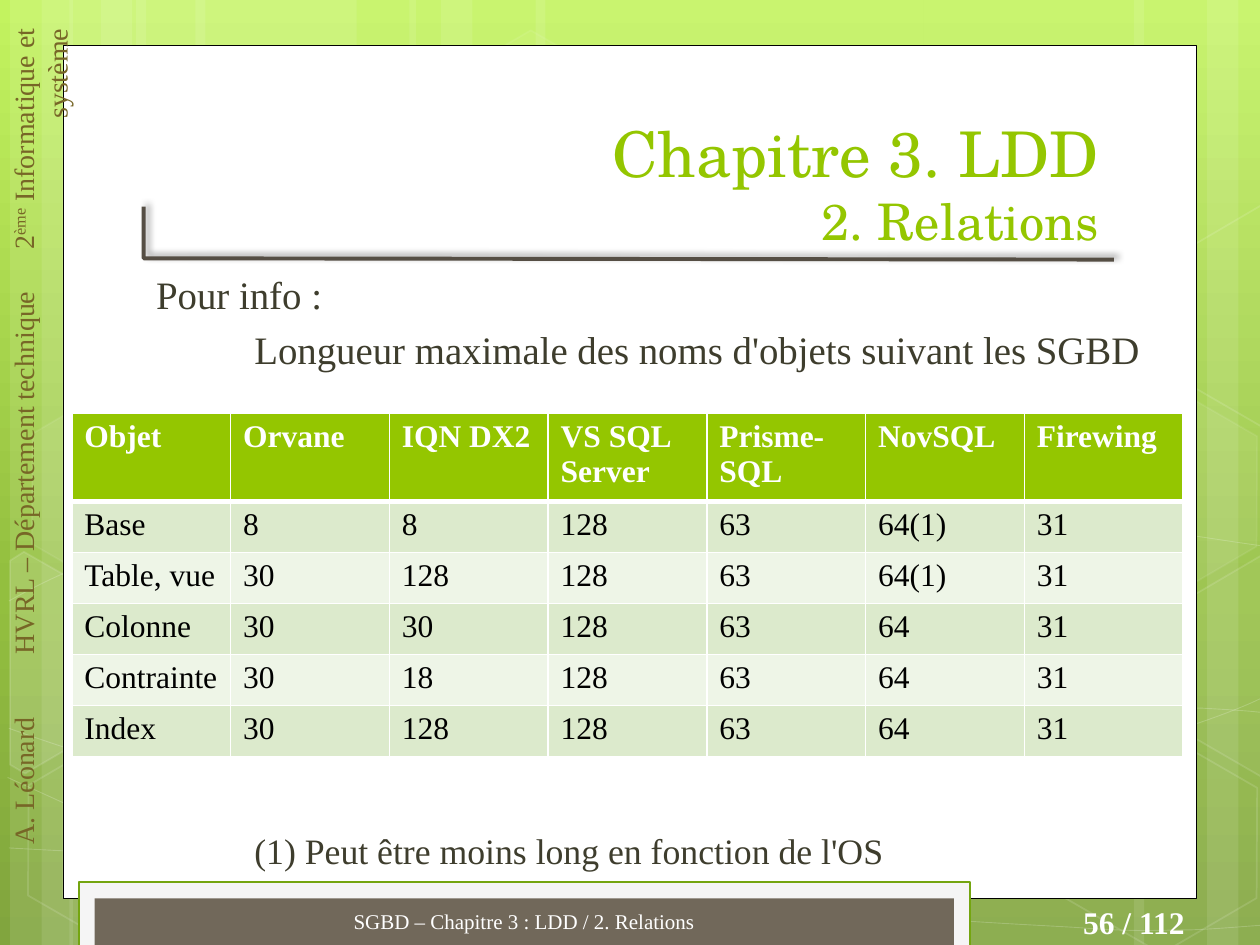
import copy
from dataclasses import dataclass
from typing import NamedTuple, Optional

import lxml.etree
import pptx
import pptx.dml.color
import pptx.enum.shapes
import pptx.enum.text
import pptx.oxml.ns
import pptx.util

COLUMNS, ROWS = 10, 7.5
CELL = pptx.util.Inches(1)
SERIF, TITLE_FONT = "Times New Roman", "TeX Gyre Schola"
WHITE, GREEN, DARK, OLIVE = "FFFFFF", "94C600", "3E3D2D", "776627"
ALIGN = pptx.enum.text.PP_ALIGN
ANCHOR = pptx.enum.text.MSO_ANCHOR
PRESET = pptx.enum.shapes.MSO_SHAPE
qn = pptx.oxml.ns.qn


class Box(NamedTuple):
    """Place on the grid, in columns and rows."""
    left: float
    top: float
    width: float
    height: float


@dataclass(frozen=True)
class Paint:
    """Fill and outline, with opacity in percent."""
    fill: Optional[str] = None
    fill_alpha: int = 100
    line: Optional[str] = None
    line_width: float = 1
    line_alpha: int = 100


class Hexagon(NamedTuple):
    """Tilted background hexagon."""
    left: float
    top: float
    fill_alpha: int
    line_alpha: int


class Outline(NamedTuple):
    """Cut hexagon at the slide's edge."""
    points: list
    fill_alpha: int


class Piece(NamedTuple):
    """Part of the side label, with raising in percent and tracking in points."""
    text: str
    baseline: int = 0
    tracking: float = 0


BANDS = [(1.08, 1.75), (0.08, 0.5), (0.33, 0.83), (1.55, 1.75), (0.55, 0.5), (0.8, 0.83),
         (7.33, 1.75), (9.58, 0.5), (9, 0.83), (4.25, 3.08), (3.25, 0.5), (3.5, 0.83)]
CURVES = [
    [(0.07, 6.73), (0.61, 6.76), (1.15, 6.79), (1.9, 6.78), (2.65, 6.77), (3.58, 6.75), (4.58, 6.65),
     (5.58, 6.55), (7, 6.36), (7.92, 6.17), (8.83, 5.98), (9.77, 5.68), (10.07, 5.51)],
    [(0.07, 4.77), (0.36, 4.61), (0.65, 4.46), (1.21, 4.31), (1.78, 4.16), (2.59, 3.94), (3.47, 3.87),
     (4.36, 3.8), (5.44, 3.79), (6.54, 3.87), (7.64, 3.95), (9.47, 4.26), (10.07, 4.34)],
    [(0.06, 6.17), (1.27, 6.72), (2.47, 7.27), (3.34, 7.49)],
    [(0.07, 5.78), (0.38, 5.89), (0.7, 6), (1.28, 6.16), (1.86, 6.31), (2.73, 6.56), (3.57, 6.73),
     (4.4, 6.9), (5.45, 7.08), (6.28, 7.18), (7.11, 7.29), (8, 7.33), (8.53, 7.36),
     (9.05, 7.4), (9.19, 7.38), (9.45, 7.38), (9.71, 7.37), (9.89, 7.35), (10.07, 7.34)],
    [(2.42, 7.49), (2.6, 7.29), (2.78, 7.09), (3.02, 6.91), (3.26, 6.73), (3.6, 6.53), (3.88, 6.39),
     (4.16, 6.25), (4.33, 6.19), (4.7, 6.09), (5.06, 5.99), (5.73, 5.85), (6.08, 5.78),
     (6.44, 5.71), (6.49, 5.71), (6.8, 5.69), (7.11, 5.66), (7.6, 5.63), (7.94, 5.62),
     (8.29, 5.61), (8.86, 5.62), (8.86, 5.62), (8.86, 5.62), (9.53, 5.62), (9.53, 5.62),
     (9.71, 5.63), (9.88, 5.64), (9.97, 5.65), (10.06, 5.66), (10.03, 5.65), (10.06, 5.66)],
]
HEXAGONS = [Hexagon(3.34, 0.36, 4, 8), Hexagon(4.97, 5.89, 6, 12), Hexagon(0.11, 5.91, 0, 12),
            Hexagon(0.14, 3.12, 7, 8), Hexagon(1.74, 5.92, 0, 12), Hexagon(7.53, 4.53, 10, 12),
            Hexagon(8.34, 5.93, 0, 12), Hexagon(8.34, 3.14, 7, 8)]
OUTLINES = [
    Outline([(0.08, 4.45), (0.19, 4.38), (0.96, 4.82), (0.95, 5.7), (0.2, 6.14), (0.08, 6.07)], 10),
    Outline([(9.26, 4.85), (10.01, 4.41), (10.09, 4.46), (10.09, 6.13), (10.02, 6.17), (9.26, 5.73)], 4),
    Outline([(9.26, 2.07), (10.01, 1.63), (10.1, 1.68), (10.09, 3.35), (10.02, 3.39), (9.26, 2.95)], 0),
]
PANELS = [(Box(0.5, 0.36, 9, 6.77), Paint(WHITE, line="000000", line_width=0.5)),
          (Box(0.63, 7, 7.07, 0.51), Paint("F5F5F5", line="74A510", line_width=1.25)),
          (Box(0.75, 7.13, 6.82, 0.38), Paint("71685A"))]
SIDE_LABEL = [Piece("A. Léonard"), Piece(" ", tracking=32), Piece("HVRL – Département technique"),
              Piece(" ", tracking=20), Piece("2"), Piece("ème", baseline=30), Piece(" Informatique et système")]
NAME_LENGTHS = [
    ["Objet", "Orvane", "IQN DX2", "VS SQL Server", "Prisme-SQL", "NovSQL", "Firewing"],
    ["Base", "8", "8", "128", "63", "64(1)", "31"],
    ["Table, vue", "30", "128", "128", "63", "64(1)", "31"],
    ["Colonne", "30", "30", "128", "63", "64", "31"],
    ["Contrainte", "30", "18", "128", "63", "64", "31"],
    ["Index", "30", "128", "128", "63", "64", "31"],
]


def grid(length: float) -> int:
    """Turn grid cells into slide units."""
    return round(length * CELL)


def color(value: str):
    """Turn a hex string into a colour."""
    return pptx.dml.color.RGBColor.from_string(value)


def fade(parent, percent: int) -> None:
    """Set the opacity of the colours below an element."""
    for element in parent.iter(qn("a:srgbClr")):
        lxml.etree.SubElement(element, qn("a:alpha"), val=str(percent * 1000))


def apply_paint(shape, paint: Paint) -> None:
    """Give a shape its fill and outline."""
    shape.shadow.inherit = False
    properties = shape.element.spPr
    if paint.fill and paint.fill_alpha:
        shape.fill.solid()
        shape.fill.fore_color.rgb = color(paint.fill)
        fade(properties.find(qn("a:solidFill")), paint.fill_alpha)
    else:
        shape.fill.background()
    if paint.line:
        shape.line.color.rgb = color(paint.line)
        shape.line.width = pptx.util.Pt(paint.line_width)
        fade(properties.find(qn("a:ln")), paint.line_alpha)
    else:
        shape.line.fill.background()


def draw_preset(slide, preset, box: Box, paint: Paint):
    """Draw a painted preset shape."""
    shape = slide.shapes.add_shape(preset, *map(grid, box))
    apply_paint(shape, paint)
    return shape


def draw_path(slide, points: list, paint: Paint, close: bool = False):
    """Draw a painted freeform through points."""
    start, *rest = [(grid(x), grid(y)) for x, y in points]
    builder = slide.shapes.build_freeform(*start)
    builder.add_line_segments(rest, close=close)
    shape = builder.convert_to_shape()
    apply_paint(shape, paint)
    return shape


def bend(shape) -> None:
    """Turn each three line segments of a freeform into one cubic curve."""
    segments = list(shape.element.iter(qn("a:lnTo")))
    outline = segments[0].getparent()
    for index in range(0, len(segments), 3):
        curve = lxml.etree.SubElement(outline, qn("a:cubicBezTo"))
        for segment in segments[index:index + 3]:
            curve.append(segment[0])
            outline.remove(segment)


def write(paragraph, text: str, *, size: float, ink: str, font: str = SERIF, bold: bool = False, align=ALIGN.LEFT,
          before: float = 0, indent: float = 0, baseline: int = 0, tracking: float = 0) -> None:
    """Add formatted text to a paragraph."""
    paragraph.alignment = align
    paragraph.space_before = pptx.util.Pt(before)
    if indent:
        paragraph._p.get_or_add_pPr().set("marL", str(grid(indent)))
    run = paragraph.add_run()
    run.text = text
    run.font.name, run.font.size, run.font.bold = font, pptx.util.Pt(size), bold
    run.font.color.rgb = color(ink)
    for name, value in (("baseline", baseline * 1000), ("spc", tracking * 100)):
        if value:
            run._r.get_or_add_rPr().set(name, str(value))


def add_frame(slide, box: Box, anchor=ANCHOR.TOP):
    """Add a wrapping text box and return its frame."""
    frame = slide.shapes.add_textbox(*map(grid, box)).text_frame
    frame.word_wrap = True
    frame.vertical_anchor = anchor
    return frame


def add_border(cell, side: str, width: float) -> None:
    """Give one side of a cell a white border."""
    line = lxml.etree.Element(qn(f"a:{side}"), w=str(pptx.util.Pt(width)))
    fill = lxml.etree.SubElement(line, qn("a:solidFill"))
    lxml.etree.SubElement(fill, qn("a:srgbClr"), val=WHITE)
    cell._tc.get_or_add_tcPr().append(line)


def draw_table(slide, box: Box, rows: list) -> None:
    """Draw the table of name lengths."""
    table = slide.shapes.add_table(len(rows), len(rows[0]), *map(grid, box)).table
    for index, values in enumerate(rows):
        header = index == 0
        for cell, value in zip(table.rows[index].cells, values):
            for side in ("lnL", "lnR", "lnT", "lnB"):
                thick = (header and side == "lnB") or (index == 1 and side == "lnT")
                add_border(cell, side, 3 if thick else 1)
            cell.fill.solid()
            cell.fill.fore_color.rgb = color(GREEN if header else "DCEACC" if index % 2 else "EEF5E7")
            write(cell.text_frame.paragraphs[0], value, size=18, ink=WHITE if header else "000000", bold=header)


def draw_background(slide) -> None:
    """Draw the gradient, bands, curves and hexagons."""
    fill = slide.background.fill
    fill.gradient()
    fill.gradient_angle = 270
    stops = next(slide.element.iter(qn("a:gsLst")))
    stops.insert(1, copy.deepcopy(stops[0]))
    for stop, (position, value) in zip(fill.gradient_stops, [(0, "C3F35F"), (0.62, "93BF3F"), (1, "81A53E")]):
        stop.position, stop.color.rgb = position, color(value)
    for left, width in BANDS:
        draw_preset(slide, PRESET.RECTANGLE, Box(left, 0, width, ROWS), Paint(WHITE, 10))
    for curve in CURVES:
        bend(draw_path(slide, curve, Paint(line=WHITE, line_width=0.5, line_alpha=20)))
    for hexagon in HEXAGONS:
        shape = draw_preset(slide, PRESET.HEXAGON, Box(hexagon.left, hexagon.top, 1.75, 1.52),
                            Paint(WHITE, hexagon.fill_alpha, WHITE, 1, hexagon.line_alpha))
        shape.rotation, shape.adjustments[0] = 30, 0.285
    for outline in OUTLINES:
        draw_path(slide, outline.points, Paint(WHITE, outline.fill_alpha, WHITE, 1, 12), close=True)


def draw_corner(slide) -> None:
    """Draw the shadowed rule under the title."""
    corner = draw_path(slide, [(1.14, 1.64), (1.14, 2.05), (8.84, 2.06)], Paint(line="554E44", line_width=2.25))
    shadow = lxml.etree.SubElement(corner.element.spPr.find(qn("a:effectLst")), qn("a:outerShdw"),
                                   blurRad=str(pptx.util.Pt(4)), dist=str(pptx.util.Pt(3)), dir="18900000")
    lxml.etree.SubElement(shadow, qn("a:srgbClr"), val="000000")
    fade(shadow, 40)


def draw_texts(slide) -> None:
    """Write the side label, title, body and footer."""
    side = add_frame(slide, Box(0, 0.13, 0.47, 7.36))
    side._txBody.bodyPr.set("vert", "vert270")
    for piece in SIDE_LABEL:
        write(side.paragraphs[0], piece.text, size=16, ink=OLIVE, align=ALIGN.RIGHT,
              baseline=piece.baseline, tracking=piece.tracking)
    write(add_frame(slide, Box(8.21, 7.12, 1.29, 0.4)).paragraphs[0], "56 / 112",
          size=18, ink=WHITE, bold=True, align=ALIGN.RIGHT)
    title = add_frame(slide, Box(1.14, 0.79, 7.68, 1.25), ANCHOR.BOTTOM).paragraphs[0]
    write(title, "Chapitre 3. LDD", size=36, ink=GREEN, font=TITLE_FONT, align=ALIGN.RIGHT)
    title.add_line_break()
    write(title, "2. Relations", size=28.8, ink=GREEN, font=TITLE_FONT, align=ALIGN.RIGHT)
    body = add_frame(slide, Box(1.14, 2.1, 8.29, 4.86))
    write(body.paragraphs[0], "Pour info :", size=22.2, ink=DARK, before=5)
    write(body.add_paragraph(), "Longueur maximale des noms d'objets suivant les SGBD",
          size=22.2, ink=DARK, before=5, indent=0.78)
    write(body.add_paragraph(), "(1) Peut être moins long en fonction de l'OS",
          size=20.4, ink=DARK, before=260.5, indent=0.78)
    write(add_frame(slide, Box(0.75, 7.11, 6.82, 0.4), ANCHOR.MIDDLE).paragraphs[0],
          "SGBD – Chapitre 3 : LDD / 2. Relations", size=12, ink=WHITE, align=ALIGN.CENTER)


def main() -> None:
    """Build and save the slide."""
    presentation = pptx.Presentation()
    presentation.slide_width, presentation.slide_height = grid(COLUMNS), grid(ROWS)
    slide = presentation.slides.add_slide(presentation.slide_layouts[6])
    draw_background(slide)
    for box, paint in PANELS:
        draw_preset(slide, PRESET.RECTANGLE, box, paint)
    draw_corner(slide)
    draw_texts(slide)
    draw_table(slide, Box(0.57, 3.28, 8.82, 2.43), NAME_LENGTHS)
    presentation.save("out.pptx")


if __name__ == "__main__":
    main()
